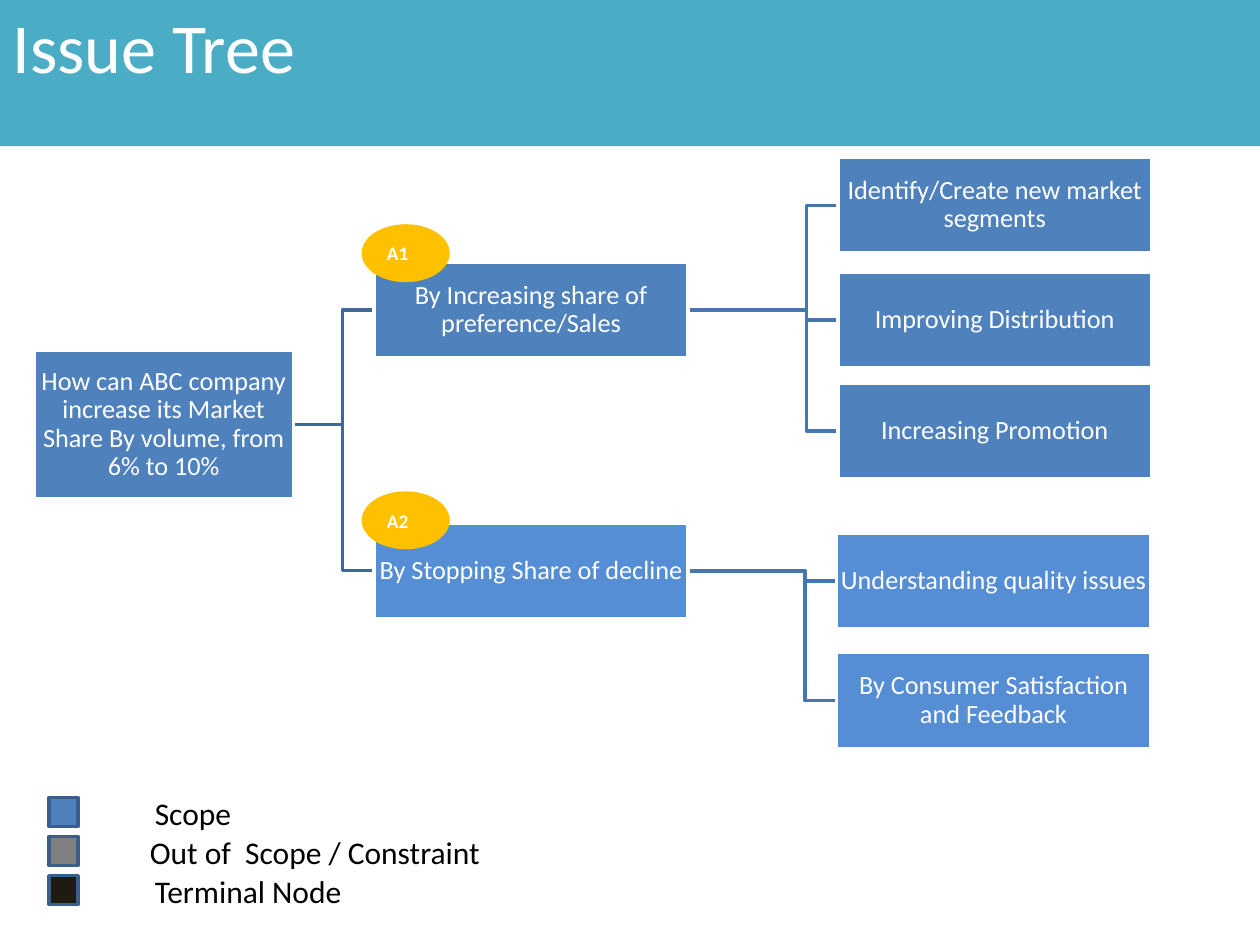
"""Build the Issue Tree slide."""
from pptx import Presentation
from pptx.dml.color import RGBColor
from pptx.enum.shapes import MSO_SHAPE
from pptx.enum.text import MSO_ANCHOR, PP_ALIGN
from pptx.util import Inches, Pt

WHITE = RGBColor(0xFF, 0xFF, 0xFF)
BLACK = RGBColor(0x00, 0x00, 0x00)
TEAL = RGBColor(0x4B, 0xAC, 0xC6)
BLUE = RGBColor(0x4F, 0x81, 0xBD)
LIGHT_BLUE = RGBColor(0x55, 0x8E, 0xD5)
AMBER = RGBColor(0xFF, 0xC0, 0x00)
GREY = RGBColor(0x80, 0x80, 0x80)
DARK = RGBColor(0x1E, 0x1C, 0x11)
ROOT_LINE = RGBColor(0x3F, 0x67, 0x97)
BRANCH_LINE = RGBColor(0x48, 0x75, 0xAC)
KEY_LINE = RGBColor(0x3A, 0x5F, 0x8C)

TITLE = "Issue Tree"
ROOT = ("How can ABC company increase its Market Share By volume, from 6% to 10%", 2.78)
BRANCHES = [
    {"text": "By Increasing share of preference/Sales", "top": 2.08, "fill": BLUE,
     "badge": ("A1", 1.78), "leaf_left": 6.65,
     "leaves": [("Identify/Create new market segments", 1.25),
                ("Improving Distribution", 2.16),
                ("Increasing Promotion", 3.04)]},
    {"text": "By Stopping Share of decline", "top": 4.15, "fill": LIGHT_BLUE,
     "badge": ("A2", 3.9), "leaf_left": 6.64,
     "leaves": [("Understanding quality issues", 4.23),
                ("By Consumer Satisfaction and Feedback", 5.18)]},
]
LEGEND = [("Scope", BLUE, 1.13), ("Out of  Scope / Constraint", GREY, 1.09),
          ("Terminal Node", DARK, 1.13)]

ROOT_LEFT, BRANCH_LEFT = 0.27, 2.97
ROOT_W, ROOT_H = 2.06, 1.18
NODE_W, NODE_H = 2.49, 0.76
BEND = 0.25
LEGEND_TOP, LEGEND_STEP, KEY_SIZE = 6.33, 0.31, 0.23
NODE_FONT = {"size": Pt(15)}
BADGE_FONT = {"size": Pt(11), "bold": True}
LEGEND_FONT = {"size": Pt(18)}


def write(shape, text, font, color=WHITE, align=PP_ALIGN.LEFT,
          anchor=MSO_ANCHOR.MIDDLE, wrap=True, inset=None, spacing=None):
    tf = shape.text_frame
    tf.word_wrap, tf.vertical_anchor = wrap, anchor
    if inset is not None:
        for side in ("left", "right", "top", "bottom"):
            setattr(tf, f"margin_{side}", Inches(inset))
    p = tf.paragraphs[0]
    p.alignment, p.line_spacing = align, spacing
    r = p.add_run()
    r.text = text
    for name, value in {"name": "Calibri", **font}.items():
        setattr(r.font, name, value)
    r.font.color.rgb = color


def add_box(s, kind, box, fill, line=None):
    sp = s.shapes.add_shape(kind, *map(Inches, box))
    sp.shadow.inherit = False
    sp.fill.solid()
    sp.fill.fore_color.rgb = fill
    if line is None:
        sp.line.fill.background()
    else:
        sp.line.color.rgb, sp.line.width = line, Pt(2)
    return sp


def add_node(s, text, box, fill, kind=MSO_SHAPE.RECTANGLE):
    sp = add_box(s, kind, box, fill, WHITE)
    write(sp, text, NODE_FONT, align=PP_ALIGN.CENTER, inset=0.01, spacing=0.9)


def add_link(s, x1, y1, x2, y2, color):
    bend = x2 - BEND
    fb = s.shapes.build_freeform(Inches(x1), Inches(y1))
    points = [(bend, y1), (bend, y2), (x2, y2)]
    fb.add_line_segments([(Inches(x), Inches(y)) for x, y in points], close=False)
    sp = fb.convert_to_shape()
    sp.shadow.inherit = False
    sp.fill.background()
    sp.line.color.rgb, sp.line.width = color, Pt(2)


def add_tree(s):
    text, top = ROOT
    for b in BRANCHES:
        mid = b["top"] + NODE_H / 2
        add_link(s, ROOT_LEFT + ROOT_W, top + ROOT_H / 2, BRANCH_LEFT, mid, ROOT_LINE)
        for _, y in b["leaves"]:
            add_link(s, BRANCH_LEFT + NODE_W, mid, b["leaf_left"], y + NODE_H / 2, BRANCH_LINE)
    add_node(s, text, (ROOT_LEFT, top, ROOT_W, ROOT_H), BLUE, MSO_SHAPE.FLOWCHART_PROCESS)
    for b in BRANCHES:
        nodes = [(BRANCH_LEFT, b["text"], b["top"])]
        nodes += [(b["leaf_left"], *leaf) for leaf in b["leaves"]]
        for x, label, y in nodes:
            add_node(s, label, (x, y, NODE_W, NODE_H), b["fill"])
        label, y = b["badge"]
        sp = add_box(s, MSO_SHAPE.OVAL, (BRANCH_LEFT - 0.1, y, 0.7, 0.46), AMBER)
        write(sp, label, BADGE_FONT)


def add_legend(s):
    for i, (label, fill, left) in enumerate(LEGEND):
        y = LEGEND_TOP + i * LEGEND_STEP
        add_box(s, MSO_SHAPE.RECTANGLE, (0.39, y, KEY_SIZE, KEY_SIZE), fill, KEY_LINE)
        tb = s.shapes.add_textbox(*map(Inches, (left, y - 0.08, 2.85, 0.4)))
        write(tb, label, LEGEND_FONT, BLACK, anchor=MSO_ANCHOR.TOP, wrap=False)


def main():
    prs = Presentation()
    prs.slide_width, prs.slide_height = Inches(10), Inches(7.5)
    s = prs.slides.add_slide(prs.slide_layouts[5])
    title = s.shapes.title
    title.left, title.top, title.width, title.height = map(Inches, (0, -0.02, 10, 1.18))
    title.fill.solid()
    title.fill.fore_color.rgb = TEAL
    write(title, TITLE, {"size": Pt(40)}, anchor=MSO_ANCHOR.TOP)
    add_tree(s)
    add_legend(s)
    prs.save("out.pptx")


if __name__ == "__main__":
    main()
